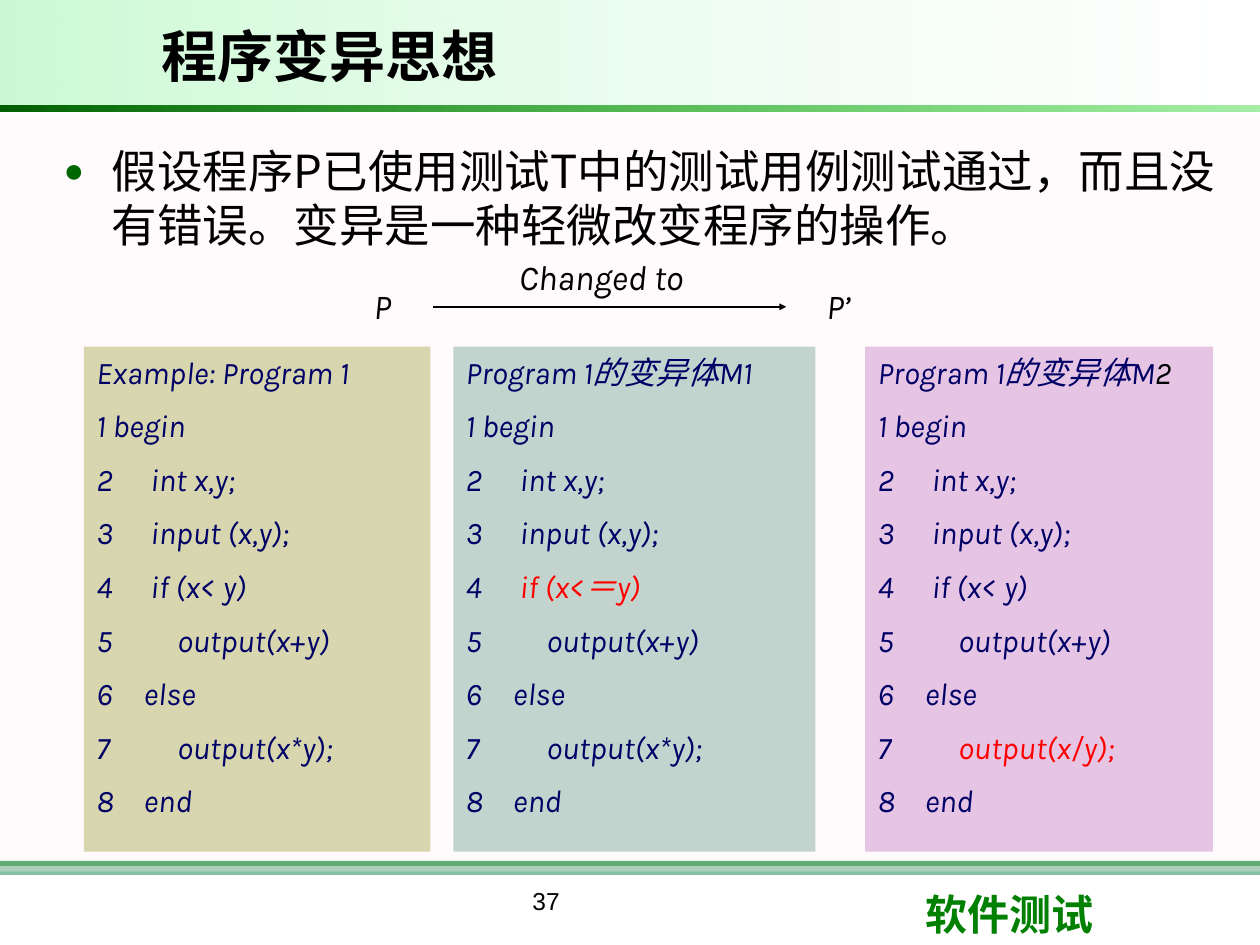
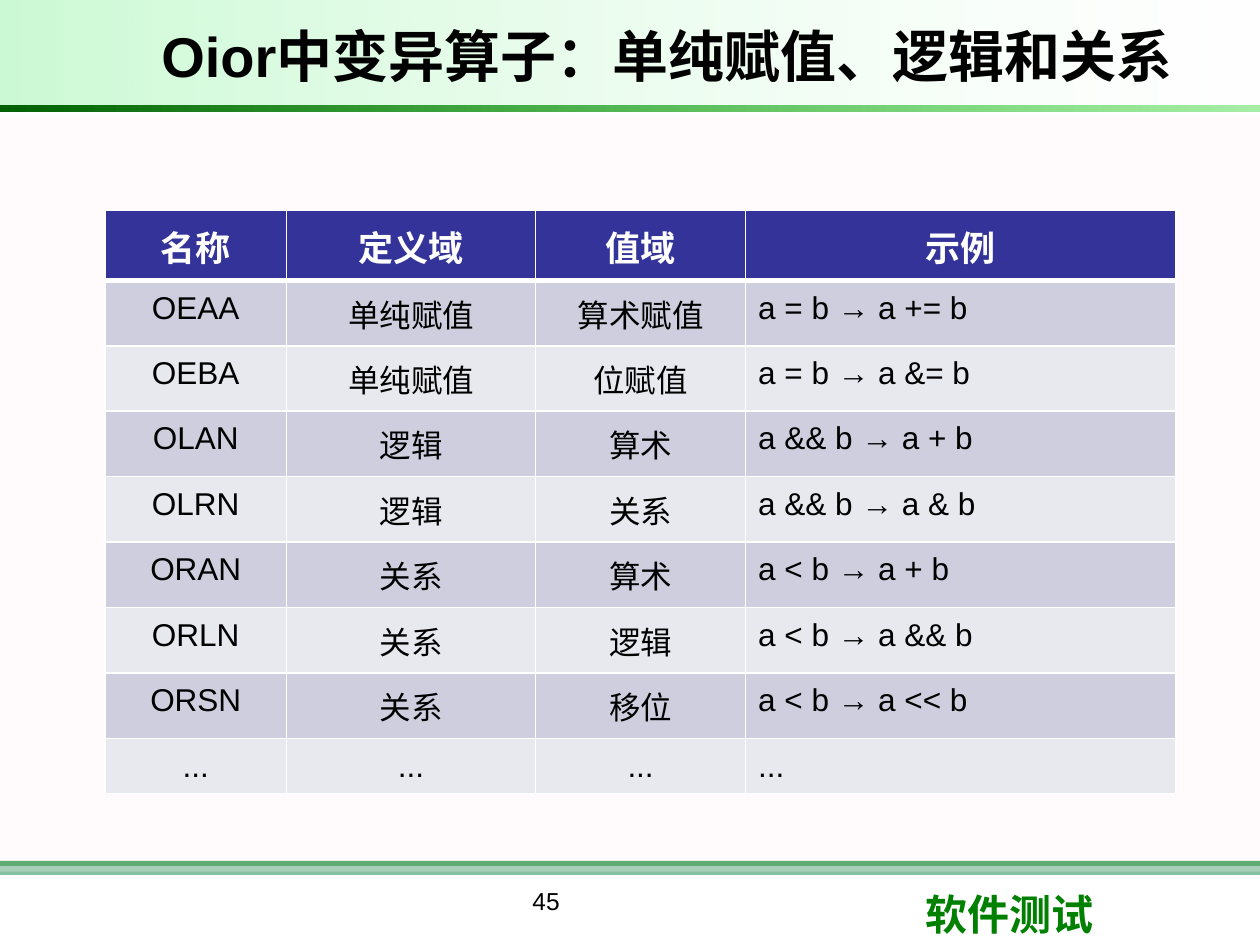
from itertools import product

from lxml import etree
from pptx import Presentation
from pptx.dml.color import RGBColor
from pptx.enum import shapes, text
from pptx.oxml import ns
from pptx.util import Pt

BLACK, WHITE, RED, GREEN, NAVY = "000000", "FFFFFF", "FF0000", "008000", "000066"
HEADER_FILL, BAND_FILLS = "333399", ("CECEDE", "E8E8EF")
CJK = "Noto Sans CJK SC"
LEFT, CENTER = text.PP_ALIGN.LEFT, text.PP_ALIGN.CENTER

CODE = ["1 begin", " int x,y;", " input (x,y);", " if (x< y)",
        "     output(x+y)", "else", "     output(x*y);", "end"]
OPERATORS = [
    ("名称", "定义域", "值域", "示例"),
    ("OEAA", "单纯赋值", "算术赋值", "a = b → a += b"),
    ("OEBA", "单纯赋值", "位赋值", "a = b → a &= b"),
    ("OLAN", "逻辑", "算术", "a && b → a + b"),
    ("OLRN", "逻辑", "关系", "a && b → a & b"),
    ("ORAN", "关系", "算术", "a < b → a + b"),
    ("ORLN", "关系", "逻辑", "a < b → a && b"),
    ("ORSN", "关系", "移位", "a < b → a << b"),
    ("...", "...", "...", "..."),
]


def rgb(value):
    return RGBColor.from_string(value)


def add_xml(parent, tag, **attributes):
    return etree.SubElement(parent, ns.qn(tag), attributes)


def style(paragraph, size, name, color=BLACK, bold=False, italic=False, align=LEFT,
          east_asian=CJK):
    paragraph.alignment = align
    font = paragraph.font
    font.size, font.name, font.bold, font.italic = Pt(size), name, bold, italic
    font.color.rgb = rgb(color)
    defaults = paragraph._p.pPr.find(ns.qn("a:defRPr"))
    add_xml(defaults, "a:ea", typeface=east_asian)


def place(shape, left, top, width, height):
    shape.left, shape.top, shape.width, shape.height = map(Pt, (left, top, width, height))


def add_label(slide, box, words, size, name, wrap=True, **look):
    label = slide.shapes.add_textbox(*map(Pt, box))
    label.text_frame.word_wrap = wrap
    paragraph = label.text_frame.paragraphs[0]
    paragraph.text = words
    style(paragraph, size, name, **look)
    return label


def add_band(slide, box, colors, opacities):
    band = slide.shapes.add_shape(shapes.MSO_SHAPE.RECTANGLE, *map(Pt, box))
    band.shadow.inherit = False
    band.line.fill.background()
    if len(colors) == 1:
        band.fill.solid()
        band.fill.fore_color.rgb = rgb(colors[0])
    else:
        band.fill.gradient()
        band.fill.gradient_angle = 0
        for stop, color in zip(band.fill.gradient_stops, colors):
            stop.color.rgb = rgb(color)
    for node, opacity in zip(band._element.spPr.iter(ns.qn("a:srgbClr")), opacities):
        if opacity < 100:
            add_xml(node, "a:alpha", val=str(opacity * 1000))
    return band


def move_to_master(master, parts):
    for number, part in enumerate(parts, start=100):
        part._element.nvSpPr.cNvPr.set("id", str(number))
        master.shapes._spTree.append(part._element)


def add_decoration(slide, master):
    parts = [add_band(slide, *band) for band in (
        ((0, 492, 720, 2.9), [GREEN], [100]),
        ((0, 492, 720, 7.9), ["339966"], [60]),
        ((0, 66.2, 720, 432), ["FFF0F5"], [30]),
        ((0, 0, 720, 60), ["09E733", WHITE], [21, 10]),
        ((0, 60.2, 720, 3.6), ["006000", "00CC00"], [100, 35]),
    )]
    parts.append(add_label(slide, (522, 504, 170.6, 36), "软件测试", 24, "Calibri",
                           color=GREEN, bold=True))
    move_to_master(master, parts)


def add_heading(slide, words, width, page):
    title = slide.shapes.title
    place(title, 85, 5.8, width, 51.1)
    frame = title.text_frame
    frame.auto_size = text.MSO_AUTO_SIZE.NONE
    frame.vertical_anchor = text.MSO_ANCHOR.MIDDLE
    frame.text = words
    style(frame.paragraphs[0], 32, "Arial", bold=True)
    add_label(slide, (198, 502.6, 228.2, 37.4), page, 14, "Arial", align=CENTER)


def set_indent(paragraph, margin, hanging):
    properties = paragraph._p.get_or_add_pPr()
    properties.set("marL", str(Pt(margin)))
    properties.set("indent", str(-Pt(hanging)))
    return properties


def add_statement(slide, words):
    body = slide.placeholders[1]
    place(body, 28.5, 77.8, 673.5, 401.8)
    frame = body.text_frame
    frame.auto_size = text.MSO_AUTO_SIZE.NONE
    frame.margin_top = Pt(4.1)
    frame.text = words
    paragraph = frame.paragraphs[0]
    paragraph.line_spacing, paragraph.space_before = Pt(31), Pt(0)
    properties = set_indent(paragraph, 28.1, 27.4)
    add_xml(add_xml(properties, "a:buClr"), "a:srgbClr", val="006600")
    add_xml(properties, "a:buSzPct", val="75000")
    add_xml(properties, "a:buChar", char="●")
    style(paragraph, 26, CJK)


def add_program(slide, left, width, fill, heading, mutations, heading_accent=BLACK):
    panel = slide.shapes.add_shape(shapes.MSO_SHAPE.RECTANGLE,
                                   *map(Pt, (left, 198, width, 288.7)))
    panel.shadow.inherit = False
    panel.fill.solid()
    panel.fill.fore_color.rgb = rgb(fill)
    panel.line.fill.background()
    frame = panel.text_frame
    frame.word_wrap = True
    frame.vertical_anchor = text.MSO_ANCHOR.TOP
    lines = [heading] + [mutations.get(number, line) for number, line in enumerate(CODE, 1)]
    for index, line in enumerate(lines):
        paragraph = frame.add_paragraph() if index else frame.paragraphs[0]
        properties = set_indent(paragraph, 27, 27)
        if index:
            paragraph.space_before = Pt(9)
        if index > 1:
            add_xml(properties, "a:buFont", typeface="+mj-lt")
            add_xml(properties, "a:buAutoNum", type="arabicPlain", startAt="2")
        style(paragraph, 18, "Karla", color=NAVY, italic=True)
        plain, _, changed = line.partition("|")
        paragraph.add_run().text = plain
        if changed:
            accent = paragraph.add_run()
            accent.text = changed
            accent.font.color.rgb = rgb(RED if index else heading_accent)


def add_change_arrow(slide):
    for left, top, width, words in ((289.4, 142.6, 121.7, "Changed to"),
                                    (206.4, 159.1, 25.2, "P"), (465.1, 159.1, 29.5, "P’")):
        add_label(slide, (left, top, width, 31), words, 20, "Karla", wrap=False, italic=True)
    arrow = slide.shapes.add_connector(shapes.MSO_CONNECTOR.STRAIGHT,
                                       *map(Pt, (247.4, 175.3, 449.3, 175.3)))
    arrow.line.color.rgb = rgb(BLACK)
    arrow.line.width = Pt(1)
    add_xml(arrow.line._get_or_add_ln(), "a:tailEnd", type="triangle", w="sm", len="sm")
    add_xml(arrow._element.spPr, "a:effectLst")


def set_borders(cell, bottom):
    properties = cell._tc.get_or_add_tcPr()
    for position, (side, width) in enumerate(zip("LRTB", (1, 1, 1, bottom))):
        edge = etree.Element(ns.qn(f"a:ln{side}"), w=str(Pt(width)))
        add_xml(add_xml(edge, "a:solidFill"), "a:srgbClr", val=WHITE)
        properties.insert(position, edge)


def fill_cell(cell, words, row, column):
    header = row == 0
    cell.fill.solid()
    cell.fill.fore_color.rgb = rgb(HEADER_FILL if header else BAND_FILLS[(row - 1) % 2])
    set_borders(cell, 3 if header else 1)
    cell.margin_left = cell.margin_right = Pt(7.2)
    cell.margin_top, cell.margin_bottom = Pt(5.8), Pt(4)
    paragraph = cell.text_frame.paragraphs[0]
    style(paragraph, 20 if header else 18, "Arial", color=WHITE if header else BLACK,
          bold=header, align=CENTER if header or column < 3 else LEFT,
          east_asian="Arial" if words.isascii() else CJK)
    for part in filter(None, words.partition("→")):
        run = paragraph.add_run()
        run.text = part
        if part == "→":
            run.font.name = "Times New Roman"


def add_operator_table(slide):
    widths = (103.7, 142.4, 120, 245.9)
    heights = [40] + [37.4] * (len(OPERATORS) - 2) + [31]
    table = slide.shapes.add_table(len(heights), len(widths), Pt(60), Pt(120.2),
                                   Pt(sum(widths)), Pt(sum(heights))).table
    for column, width in zip(table.columns, widths):
        column.width = Pt(width)
    for row, height in zip(table.rows, heights):
        row.height = Pt(height)
    for row, column in product(range(len(heights)), range(len(widths))):
        fill_cell(table.cell(row, column), OPERATORS[row][column], row, column)


def main():
    deck = Presentation()
    deck.slide_width, deck.slide_height = Pt(720), Pt(540)

    idea = deck.slides.add_slide(deck.slide_layouts[1])
    add_decoration(idea, deck.slide_master)
    add_heading(idea, "程序变异思想", 501.8, "37")
    add_statement(idea, "假设程序P已使用测试T中的测试用例测试通过，而且没有错误。变异是一种轻微改变程序的操作。")
    add_program(idea, 48, 198, "D7D6AE", "Example: Program 1", {})
    add_program(idea, 259, 206.9, "C2D4CD", "Program 1的变异体M1", {4: " |if (x<＝y)"})
    add_program(idea, 494.4, 198.7, "E6C4E4", "Program 1的变异体M|2",
                {7: "     |output(x/y);"})
    add_change_arrow(idea)

    operators = deck.slides.add_slide(deck.slide_layouts[5])
    add_heading(operators, "Oior中变异算子：单纯赋值、逻辑和关系", 617, "45")
    add_operator_table(operators)

    deck.save("out.pptx")


if __name__ == "__main__":
    main()
